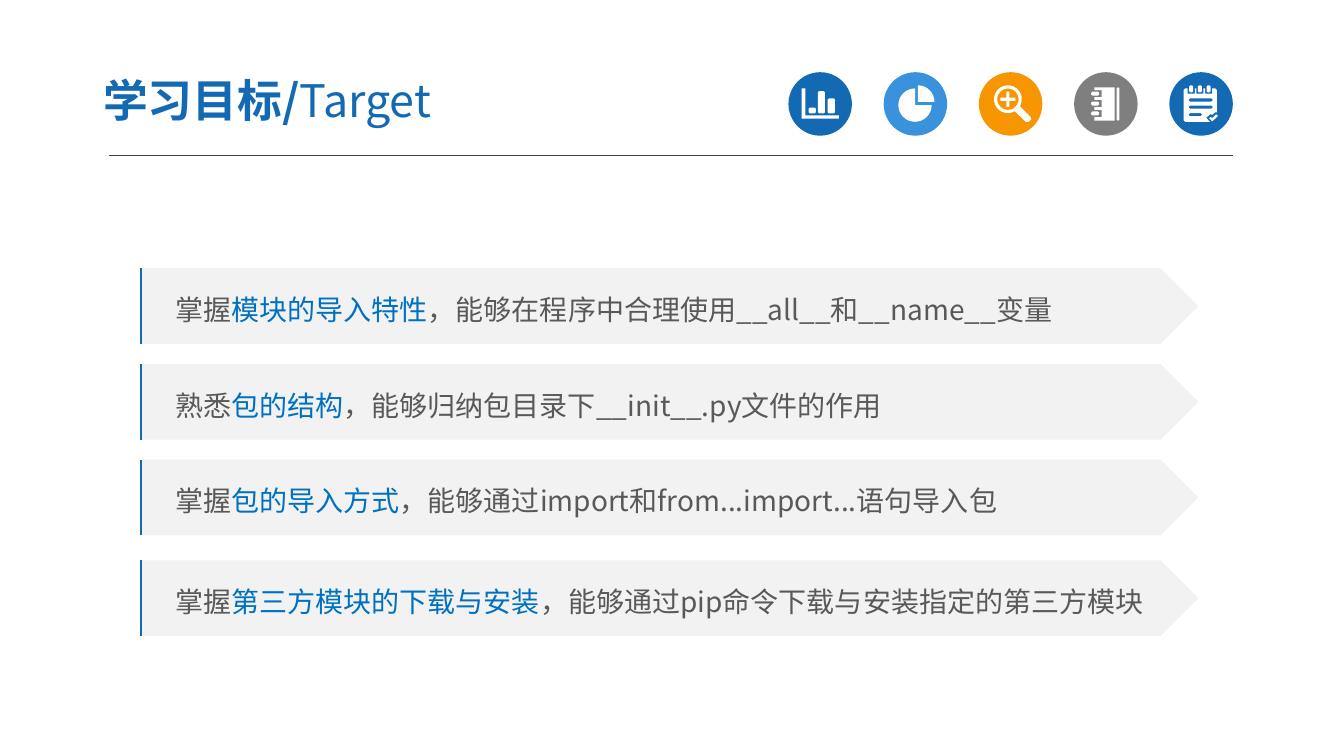
from dataclasses import dataclass
from math import cos, radians, sin

from lxml import etree
from pptx import Presentation
from pptx import util as u
from pptx.dml.color import RGBColor
from pptx.enum import shapes, text
from pptx.oxml import ns

Cm = u.Cm
Kind = shapes.MSO_SHAPE


@dataclass(frozen=True)
class Theme:
    font: str = "Noto Sans CJK SC"
    head: int = 32
    body: int = 20
    blue: str = "1369B2"
    sky: str = "3992DB"
    amber: str = "F79600"
    gray: str = "7F7F7F"
    white: str = "FFFFFF"
    rule: str = "404040"
    panel: str = "F2F2F2"
    ink: str = "595959"
    key: str = "0070C0"


T = Theme()

GOALS = [
    (6.76, "掌握", "模块的导入特性", "，能够在程序中合理使用__all__和__name__变量"),
    (9.17, "熟悉", "包的结构", "，能够归纳包目录下__init__.py文件的作用"),
    (11.58, "掌握", "包的导入方式", "，能够通过import和from...import...语句导入包"),
    (14.12, "掌握", "第三方模块的下载与安装", "，能够通过pip命令下载与安装指定的第三方模块"),
]


def rgb(color):
    return RGBColor.from_string(color)


def paint(item, color):
    """Fill a shape and drop its outline and shadow."""
    item.shadow.inherit = False
    item.fill.solid()
    item.fill.fore_color.rgb = rgb(color)
    item.line.fill.background()


def block(tree, kind, x, y, w, h, color):
    item = tree.add_shape(kind, Cm(x), Cm(y), Cm(w), Cm(h))
    paint(item, color)
    return item


def write(para, size, runs):
    """Fill a paragraph with (text, colour, bold) runs in the theme font."""
    para.alignment = text.PP_ALIGN.LEFT
    para.font.name = T.font
    para.font.size = u.Pt(size)
    base = para._p.pPr.find(ns.qn("a:defRPr"))
    etree.SubElement(base, ns.qn("a:ea")).set("typeface", T.font)
    for words, color, bold in runs:
        run = para.add_run()
        run.text = words
        run.font.color.rgb = rgb(color)
        run.font.bold = bold


# Outlines: lists of points in centimetres within a badge

def pill(x, y, w, h):
    """Outline of a bar with cut corners."""
    c = 0.03
    r, b = x + w, y + h
    return [(x + c, y), (r - c, y), (r, y + c), (r, b - c),
            (r - c, b), (x + c, b), (x, b - c), (x, y + c)]


def arc(x, y, size, start, end, steps=24):
    """Points on a circle, clockwise from the right, in degrees."""
    turns = [radians(start + (end - start) * i / steps)
             for i in range(steps + 1)]
    return [(x + size * cos(t), y + size * sin(t)) for t in turns]


def notches(mids, edge, deep):
    """Points of square notches cut along an edge."""
    return [spot for m in mids
            for spot in ((m - 0.09, edge), (m - 0.09, deep),
                         (m + 0.09, deep), (m + 0.09, edge))]


def chart():
    return [
        [(0.33, 0.41), (0.43, 0.41), (0.43, 1.09), (1.27, 1.09),
         (1.27, 1.17), (0.33, 1.17)],
        pill(0.51, 0.89, 0.18, 0.15),
        pill(0.74, 0.48, 0.18, 0.56),
        pill(0.99, 0.66, 0.18, 0.38),
    ]


def pie():
    return [[(0.79, 0.83)] + arc(0.79, 0.83, 0.42, 0, 270),
            [(0.86, 0.75)] + arc(0.86, 0.75, 0.42, 270, 360, 8)]


def lens():
    grip = [(1.3, 1.13), (1.32, 1.19), (1.25, 1.25), (1.18, 1.25)]
    plus = [(0.69, 0.49), (0.77, 0.49), (0.77, 0.64), (0.92, 0.64),
            (0.92, 0.72), (0.77, 0.72), (0.77, 0.87), (0.69, 0.87),
            (0.69, 0.72), (0.54, 0.72), (0.54, 0.64), (0.69, 0.64)]
    return [arc(0.73, 0.68, 0.35, 60, 390) + grip,
            arc(0.73, 0.68, 0.27, 360, 0), plus]


def book():
    mids = [0.54, 0.79, 1.04]
    side = [(x, y) for y, x in notches(mids, 0.51, 0.69)]
    page = [(0.51, 0.38)] + side + [(0.51, 1.22), (1.02, 1.22), (1.02, 0.38)]
    return [page, pill(1.07, 0.38, 0.07, 0.84),
            *(pill(0.43, m - 0.05, 0.2, 0.1) for m in mids)]


def pad():
    mids = [0.55, 0.77, 0.99]
    sheet = [(0.36, 0.45), (0.4, 0.41), *notches(mids, 0.41, 0.54),
             (1.16, 0.41), (1.2, 0.45), (1.2, 1.01), (1.15, 1.01),
             (1.08, 1.08), (1.04, 1.05), (0.93, 1.15), (1.02, 1.25),
             (0.4, 1.25), (0.36, 1.21)]
    tick = [(1, 1.16), (1.04, 1.12), (1.08, 1.16), (1.18, 1.06),
            (1.23, 1.1), (1.08, 1.24)]
    rows = [(0.66, 0.6), (0.84, 0.6), (1.03, 0.33)]
    return [sheet, tick, *(pill(0.49, y, w, 0.08) for y, w in rows),
            *(pill(m - 0.05, 0.33, 0.1, 0.18) for m in mids)]


def badge(tree, x, y, color, rings):
    """Add a round badge with its white symbol as one outline."""
    group = tree.add_group_shape().shapes
    block(group, Kind.OVAL, x, y, 1.6, 1.6, color)
    pen = None
    for ring in rings:
        first, *rest = [(Cm(x + dx), Cm(y + dy)) for dx, dy in ring]
        if pen is None:
            pen = group.build_freeform(*first)
        else:
            pen.move_to(*first)
        pen.add_line_segments(rest, close=True)
    paint(pen.convert_to_shape(), T.white)


def rule(tree):
    """Add the line below the header."""
    item = tree.add_connector(shapes.MSO_CONNECTOR.STRAIGHT,
                              Cm(2.75), Cm(3.93), Cm(31.07), Cm(3.93))
    item.line.color.rgb = rgb(T.rule)
    item.line.width = u.Pt(0.75)
    etree.SubElement(item._element.spPr, ns.qn("a:effectLst"))


def title(tree):
    frame = tree.add_textbox(Cm(2.27), Cm(1.6), Cm(13.26), Cm(1.83)).text_frame
    frame.word_wrap = True
    frame.vertical_anchor = text.MSO_ANCHOR.MIDDLE
    frame.margin_left = frame.margin_right = Cm(0.33)
    frame.margin_top = frame.margin_bottom = Cm(0.17)
    write(frame.paragraphs[0], T.head,
          [("学习目标/", T.blue, True), ("Target", T.blue, False)])


def goal(tree, y, verb, topic, rest):
    """Add an arrow-ended bar with one learning goal and a blue edge."""
    group = tree.add_group_shape().shapes
    left, high = 3.56, 1.91
    bar = block(group, Kind.PENTAGON, 3.53, y, 26.67, high, T.panel)
    frame = bar.text_frame
    frame.word_wrap = True
    frame.vertical_anchor = text.MSO_ANCHOR.MIDDLE
    frame.margin_left = Cm(0.89)
    para = frame.paragraphs[0]
    para.line_spacing = 1.2
    write(para, T.body, [(verb, T.ink, False), (topic, T.key, False),
                         (rest, T.ink, False)])

    # The first point only gives the outline its width
    pen = group.build_freeform(Cm(left + 0.3), Cm(y + high))
    pen.move_to(Cm(left), Cm(y + high))
    pen.add_line_segments([(Cm(left), Cm(y))], close=False)
    edge = pen.convert_to_shape()
    edge.shadow.inherit = False
    edge.fill.background()
    edge.line.color.rgb = rgb(T.blue)
    edge.line.width = u.Pt(1.5)


def main():
    deck = Presentation()
    deck.slide_width, deck.slide_height = Cm(33.87), Cm(19.05)
    tree = deck.slides.add_slide(deck.slide_layouts[6]).shapes

    # Header
    rule(tree)
    badges = [(T.blue, chart), (T.sky, pie), (T.amber, lens),
              (T.gray, book), (T.blue, pad)]
    for i, (color, draw) in enumerate(badges):
        badge(tree, 19.87 + 2.4 * i, 1.82, color, draw())
    title(tree)

    # Learning goals
    for item in GOALS:
        goal(tree, *item)

    deck.save("out.pptx")


if __name__ == "__main__":
    main()
